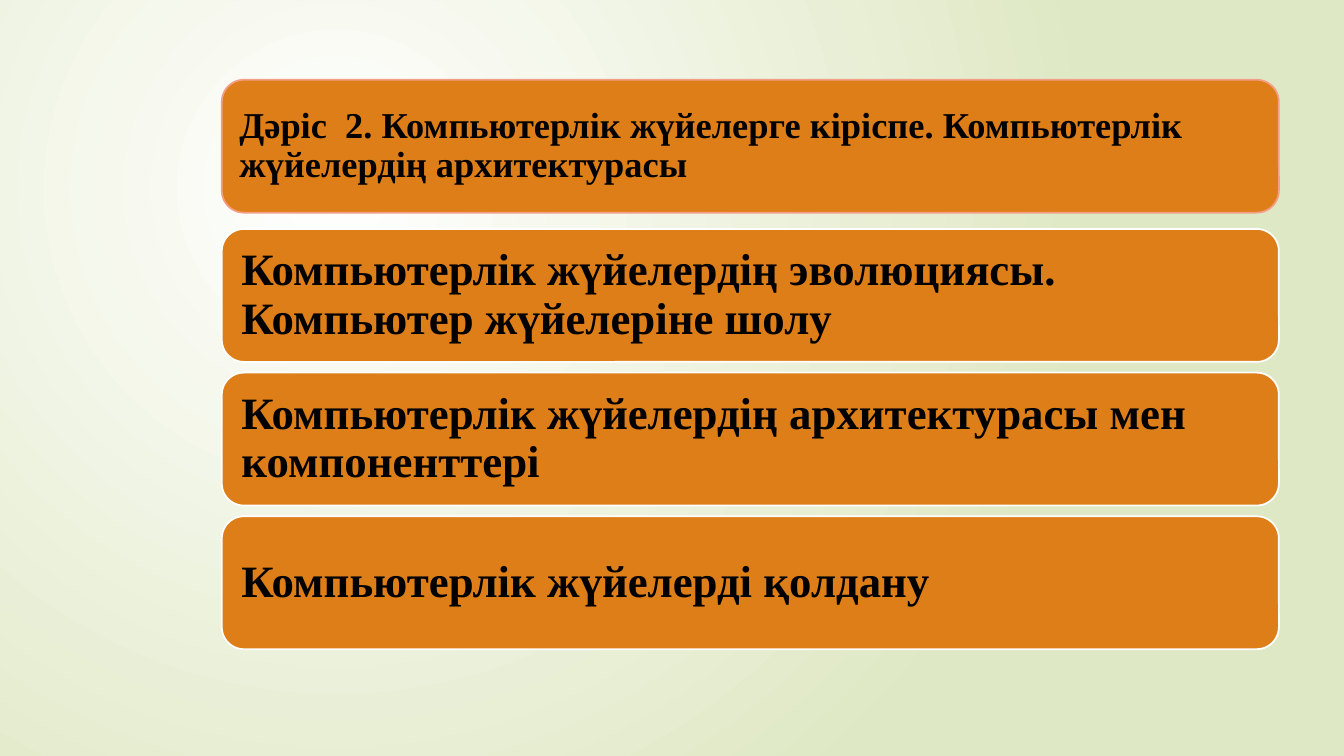
from lxml.etree import SubElement
from pptx import Presentation
from pptx.dml.color import RGBColor
from pptx.enum.shapes import MSO_SHAPE
from pptx.enum.text import MSO_ANCHOR, PP_ALIGN
from pptx.oxml.ns import qn
from pptx.util import Cm, Pt

TITLE = "Дәріс  2. Компьютерлік жүйелерге кіріспе. Компьютерлік жүйелердің архитектурасы"
TOPICS = [
    "Компьютерлік жүйелердің эволюциясы. Компьютер жүйелеріне шолу",
    "Компьютерлік жүйелердің архитектурасы мен компоненттері",
    "Компьютерлік жүйелерді қолдану",
]
TITLE_TOP, TOPICS_TOP, TOPIC_STEP = 2.01, 5.77, 3.62


def rgb(value):
    return RGBColor.from_string(value)


def apply(target, values):
    for name, value in values.items():
        setattr(target, name, value)


class LectureSlide:
    font = "Times New Roman"
    bar_fill, text_color = "DE7E18", "000000"
    left, width, height = 5.59, 26.64, 3.35

    def __init__(self, prs):
        self.s = prs.slides.add_slide(prs.slide_layouts[6])

    def background(self, inner, outer):
        """Fill the slide with a circular gradient centred in its upper left."""
        fill = self.s.background.fill
        fill.gradient()
        for stop, color, position in zip(fill.gradient_stops, (inner, outer), (0, 1)):
            stop.color.rgb = rgb(color)
            stop.position = position
        grad = self.s.element.find(".//" + qn("a:gradFill"))
        lin = grad.find(qn("a:lin"))
        if lin is not None:
            grad.remove(lin)
        path = SubElement(grad, qn("a:path"), {"path": "circle"})
        SubElement(path, qn("a:fillToRect"),
                   {"l": "50000", "t": "50000", "r": "100000", "b": "100000"})

    def bar(self, text, top, size=32, line="FFFFFF", inset=0.33):
        sp = self.s.shapes.add_shape(MSO_SHAPE.ROUNDED_RECTANGLE, Cm(self.left),
                                     Cm(top), Cm(self.width), Cm(self.height))
        sp.shadow.inherit = False
        sp.fill.solid()
        sp.fill.fore_color.rgb = rgb(self.bar_fill)
        sp.line.color.rgb = rgb(line)
        sp.line.width = Pt(1.25)
        tf = sp.text_frame
        apply(tf, {"word_wrap": True, "vertical_anchor": MSO_ANCHOR.MIDDLE})
        apply(tf, {f"margin_{side}": Cm(inset)
                   for side in ("left", "top", "right", "bottom")})
        p = tf.paragraphs[0]
        apply(p, {"alignment": PP_ALIGN.LEFT, "line_spacing": 0.9})
        r = p.add_run()
        r.text = text
        apply(r.font, {"name": self.font, "size": Pt(size), "bold": True})
        r.font.color.rgb = rgb(self.text_color)


def main():
    prs = Presentation()
    apply(prs, {"slide_width": Cm(33.87), "slide_height": Cm(19.05)})
    slide = LectureSlide(prs)
    slide.background("FFFFFF", "DFE8C4")
    slide.bar(TITLE, TITLE_TOP, size=26, line="F39E87", inset=0.28)
    for i, topic in enumerate(TOPICS):
        slide.bar(topic, TOPICS_TOP + i * TOPIC_STEP)
    prs.save("out.pptx")


if __name__ == "__main__":
    main()
